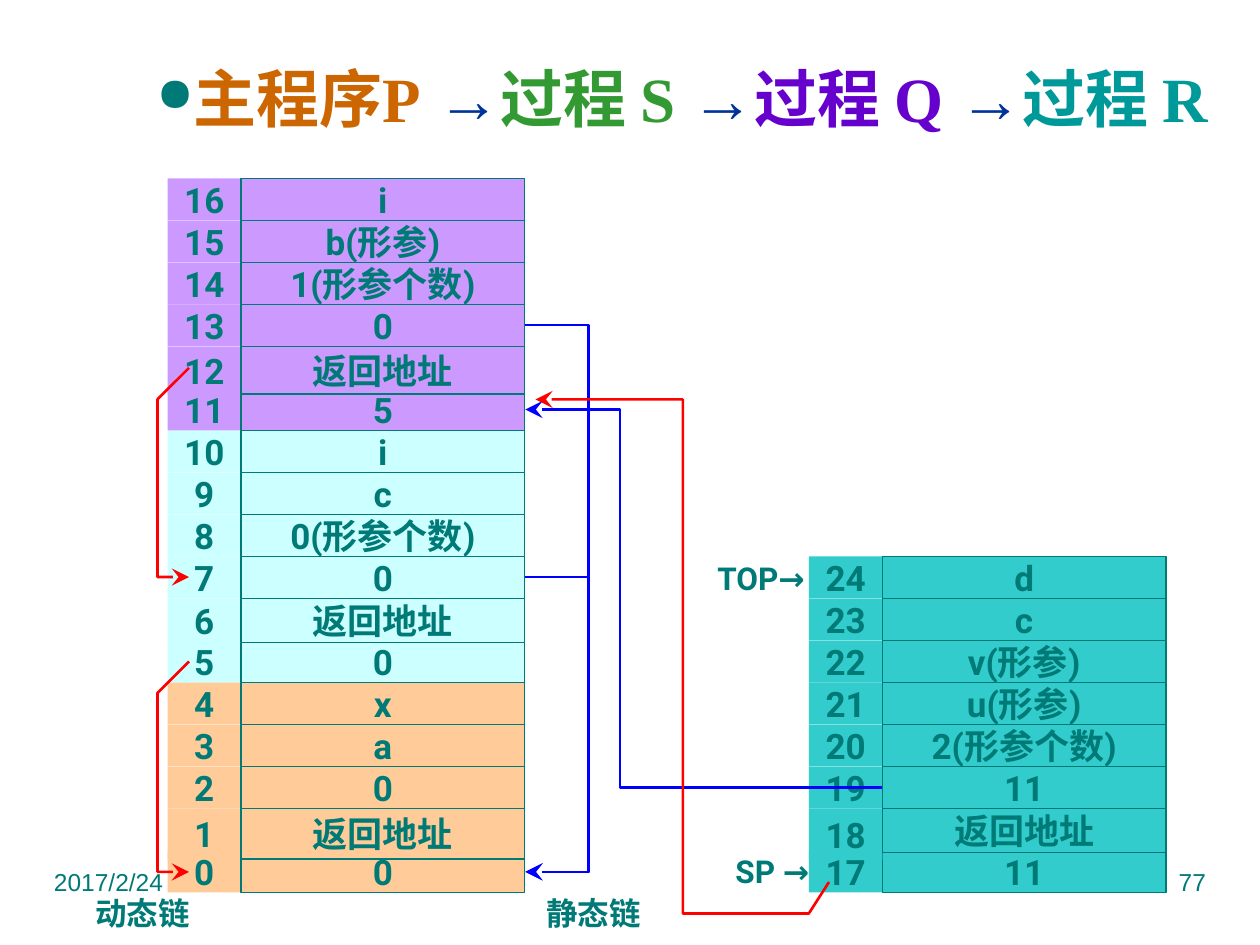
from lxml import etree
from pptx import Presentation
from pptx.dml.color import RGBColor
from pptx.enum.shapes import MSO_SHAPE
from pptx.enum.text import MSO_ANCHOR, PP_ALIGN
from pptx.oxml.ns import qn
from pptx.util import Inches, Pt

RECT = MSO_SHAPE.RECTANGLE
TOP, MIDDLE = MSO_ANCHOR.TOP, MSO_ANCHOR.MIDDLE
LEFT, CENTER, RIGHT = PP_ALIGN.LEFT, PP_ALIGN.CENTER, PP_ALIGN.RIGHT

COLORS = {
    "teal": "007A77", "arrow": "003399", "static": "0000FF", "dynamic": "FF0000",
    "P": "CC6600", "S": "339933", "Q": "6600CC", "R": "009999",
    "frame P": "FFCC99", "frame S": "CCFFFF", "frame Q": "CC99FF", "frame R": "33CCCC",
}

ROW_H = 1 / 3
NUMBER_W, VALUE_W = 7 / 12, 2.25
STACK_BOTTOM = 6.75  # top edge of the lowest row

RETURN = "返回地址"
# frame, contents from the lowest address up, height of the return address row
LEFT_STACK = [
    ("frame P", ["0", RETURN, "0", "a", "x"], 0.4),
    ("frame S", ["0", RETURN, "0", "0(形参个数)", "c", "i"], 0.35),
    ("frame Q", ["5", RETURN, "0", "1(形参个数)", "b(形参)", "i"], 0.38),
]
RIGHT_STACK = [
    ("frame R", ["11", RETURN, "11", "2(形参个数)", "u(形参)", "v(形参)", "c", "d"], 0.35),
]

TITLE = [("主程序P", "P"), (" →", "arrow"), ("过程 S ", "S"), ("→", "arrow"),
         ("过程 Q ", "Q"), ("→", "arrow"), ("过程 R", "R")]

LINKS = [
    ("dynamic", [(1.5, 5.25), (1.25, 5.5), (1.25, 6.92), (1.5, 6.92)]),
    ("dynamic", [(1.5, 2.92), (1.25, 3.17), (1.25, 4.58), (1.5, 4.58)]),
    ("static", [(4.17, 4.58), (4.67, 4.58), (4.67, 6.92), (4.17, 6.92)]),
    ("static", [(4.17, 2.58), (4.67, 2.58), (4.67, 6.92), (4.17, 6.92)]),
    ("static", [(7, 6.25), (4.92, 6.25), (4.92, 3.25), (4.17, 3.25)]),
    ("dynamic", [(6.58, 7), (6.42, 7.25), (5.42, 7.25), (5.42, 3.17), (4.25, 3.17)]),
]

LABELS = [("动态链", 0.42, 7.08), ("静态链", 4, 7.08),
          ("SP →", 5.42, 6.75), ("TOP→", 5.33, 4.42)]


def rgb(name):
    return RGBColor.from_string(COLORS[name])


def add_run(p, text, size, font="Roboto", color="teal", bold=True):
    r = p.add_run()
    r.text = text
    r.font.size = Pt(size)
    r.font.name = font
    r.font.bold = bold
    r.font.color.rgb = rgb(color)


def add_text_box(slide, x, y, w, h, anchor=MIDDLE, align=CENTER, wrap=False):
    """Add an empty text box and return its first paragraph."""
    tf = slide.shapes.add_textbox(Inches(x), Inches(y), Inches(w), Inches(h)).text_frame
    tf.word_wrap = wrap
    tf.vertical_anchor = anchor
    p = tf.paragraphs[0]
    p.alignment = align
    return p


def add_title(slide):
    p = add_text_box(slide, 0.83, 0.33, 9.17, 0.88, wrap=True)
    pPr = p._p.get_or_add_pPr()
    pPr.set("marL", str(Inches(0.24)))
    pPr.set("indent", str(-Inches(0.24)))
    color = etree.SubElement(pPr, qn("a:buClr"))
    etree.SubElement(color, qn("a:srgbClr"), val=COLORS["teal"])
    etree.SubElement(pPr, qn("a:buSzPct"), val="75000")
    etree.SubElement(pPr, qn("a:buChar"), char="●")
    for text, color_name in TITLE:
        add_run(p, text, 36, "Times New Roman", color_name)


def add_cell(slide, text, x, y, w, h, fill, outlined):
    sp = slide.shapes.add_shape(RECT, Inches(x), Inches(y), Inches(w), Inches(h))
    sp.shadow.inherit = False
    sp.fill.solid()
    sp.fill.fore_color.rgb = rgb(fill)
    if outlined:
        sp.line.color.rgb = rgb("teal")
        sp.line.width = Pt(1)
    else:
        sp.line.fill.background()
    tf = sp.text_frame
    tf.margin_top = tf.margin_bottom = 0
    tf.word_wrap = False
    tf.vertical_anchor = MIDDLE
    tf.paragraphs[0].alignment = CENTER
    add_run(tf.paragraphs[0], text, 20)


def add_stack(slide, x, first_address, frames):
    """Draw activation records upward from the bottom row, one address a row."""
    row = 0
    for fill, contents, return_h in frames:
        for content in contents:
            y = STACK_BOTTOM - row * ROW_H
            h = return_h if content == RETURN else ROW_H
            # The number of a return row is level with its neighbour below
            number_h = max(h, 0.41) if content == RETURN and fill == "frame R" else h
            add_cell(slide, str(first_address + row), x, y, NUMBER_W, number_h, fill, False)
            add_cell(slide, content, x + NUMBER_W, y, VALUE_W, h, fill, True)
            row += 1


def add_link(slide, color, points):
    """Draw an open polyline with an arrowhead at its last point."""
    start, *rest = [(Inches(x), Inches(y)) for x, y in points]
    builder = slide.shapes.build_freeform(*start)
    builder.add_line_segments(rest, close=False)
    sp = builder.convert_to_shape()
    sp.shadow.inherit = False
    sp.fill.background()
    sp.line.color.rgb = rgb(color)
    sp.line.width = Pt(1.5)
    etree.SubElement(sp.line._get_or_add_ln(), qn("a:tailEnd"),
                     type="stealth", w="lg", len="lg")


def main():
    prs = Presentation()
    prs.slide_width, prs.slide_height = Inches(10), Inches(7.5)
    slide = prs.slides.add_slide(prs.slide_layouts[6])

    for text, x, align in [("2017/2/24", 0.33, LEFT), ("77", 7.17, RIGHT)]:
        p = add_text_box(slide, x, 6.83, 2.5, 0.52, TOP, align, wrap=True)
        add_run(p, text, 14, "Arial", bold=False)
    add_title(slide)
    add_stack(slide, 1.33, 0, LEFT_STACK)
    add_stack(slide, 6.42, 17, RIGHT_STACK)
    for text, x, y in LABELS:
        add_run(add_text_box(slide, x, y, 1.42, 0.33), text, 18)
    for color, points in LINKS:
        add_link(slide, color, points)

    prs.save("out.pptx")


if __name__ == "__main__":
    main()
